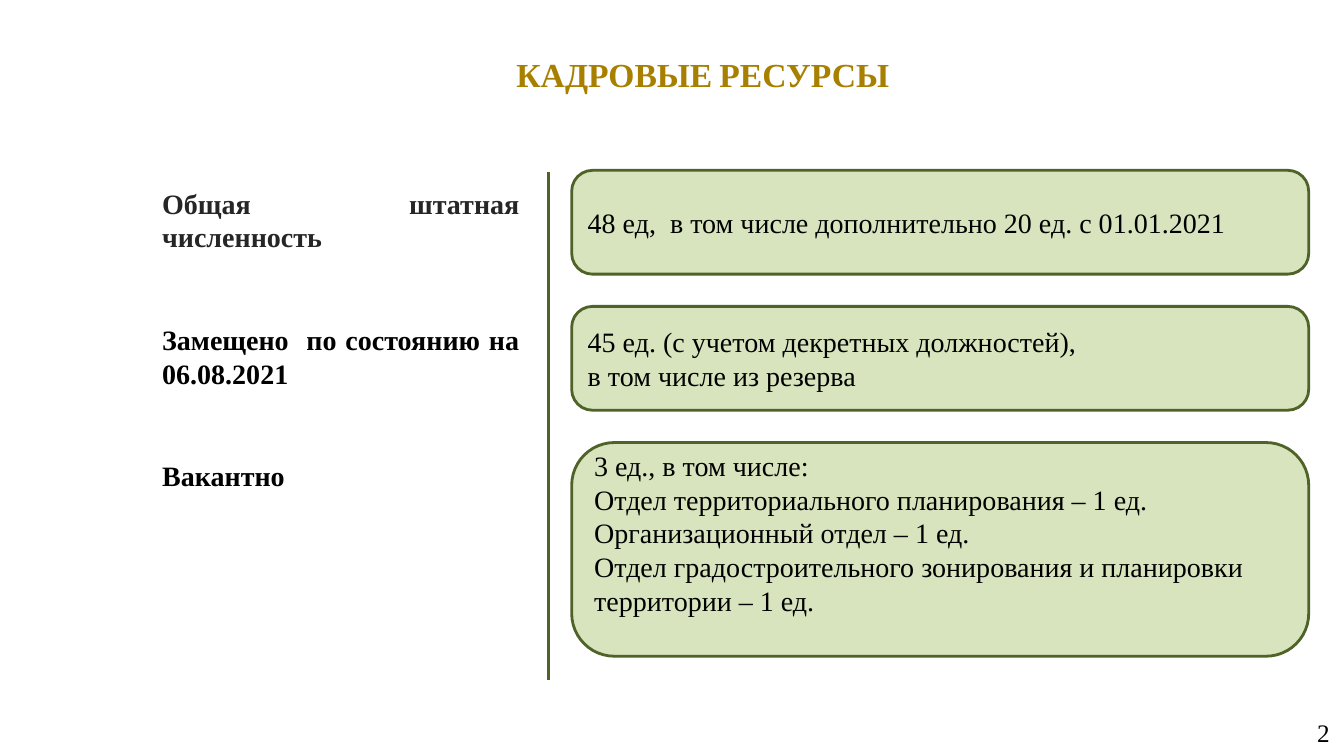
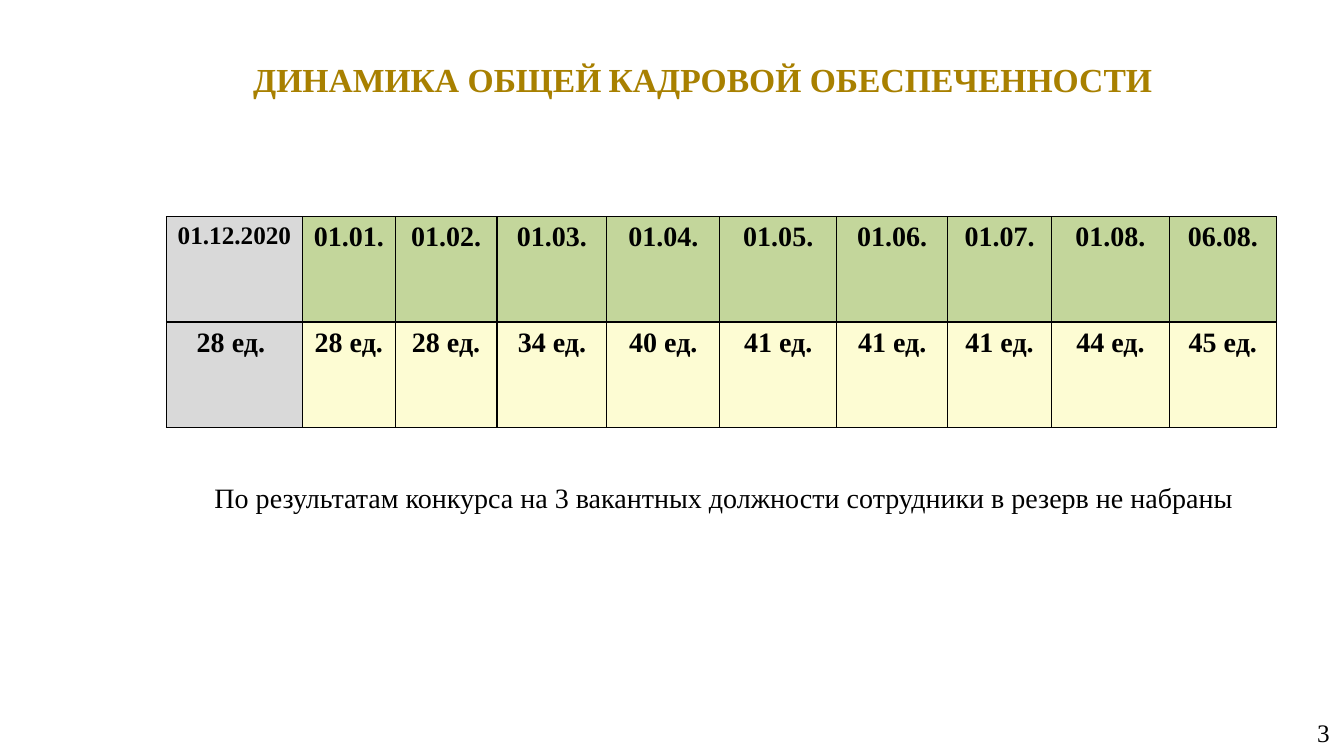
from pptx import Presentation, util as u
from pptx.dml.color import RGBColor
from pptx.enum import shapes, text
from pptx.oxml import parse_xml
from pptx.oxml.ns import nsdecls

W, H = 13.33, 7.5
FONT = "Times New Roman"
GOLD = RGBColor(0xA8, 0x80, 0x00)
BLACK = RGBColor(0, 0, 0)
DARK = RGBColor(0x26, 0x26, 0x26)
OLIVE = RGBColor(0x4F, 0x62, 0x28)
PALE = RGBColor(0xD7, 0xE4, 0xBD)
GREEN = RGBColor(0xC3, 0xD6, 0x9B)
CREAM = RGBColor(0xFD, 0xFC, 0xD3)
GREY = RGBColor(0xD9, 0xD9, 0xD9)
LEFT, MID = text.PP_ALIGN.LEFT, text.PP_ALIGN.CENTER
RIGHT, FULL = text.PP_ALIGN.RIGHT, text.PP_ALIGN.JUSTIFY
TOP, CENTER = text.MSO_ANCHOR.TOP, text.MSO_ANCHOR.MIDDLE
INSET, WIDE = (0.1, 0.05, 0.1, 0.05), (0.13, 0.07, 0.13, 0.07)

STAFF = [
    ("Общая штатная численность", DARK, 1.03, INSET,
     ["48 ед,  в том числе дополнительно 20 ед. с 01.01.2021"]),
    ("Замещено  по состоянию на 06.08.2021", BLACK, 1.03, INSET,
     ["45 ед. (с учетом декретных должностей),", "в том числе из резерва"]),
    ("Вакантно", BLACK, 2.12, (0.1, 0.05, 0.1, 0.38),
     ["3 ед., в том числе:",
      "Отдел территориального планирования – 1 ед.",
      "Организационный отдел – 1 ед.",
      "Отдел градостроительного зонирования и планировки территории – 1 ед."]),
]
COLS = [1.35, 0.92, 1.01, 1.09, 1.12, 1.16, 1.1, 1.03, 1.17, 1.06]
DATES = ["01.12.2020", "01.01.", "01.02.", "01.03.", "01.04.",
         "01.05.", "01.06.", "01.07.", "01.08.", "06.08."]
COUNTS = ["28 ед. ", "28 ед.", "28 ед.", "34 ед.", "40 ед.",
          "41 ед.", "41 ед.", "41 ед.", "44 ед.", "45 ед."]


def inch(*vals):
    """Turn numbers into lengths in inches."""
    return [u.Inches(v) for v in vals]


def put(par, runs, color=BLACK, bold=False, align=LEFT):
    """Fill a paragraph with (words, size) runs."""
    par.alignment = align
    for words, size in runs:
        run = par.add_run()
        run.text = words
        font = run.font
        font.name, font.size, font.bold = FONT, u.Pt(size), bold
        font.color.rgb = color


def write(frame, lines, anchor=TOP, inset=INSET, **style):
    """Set up a text frame and write one paragraph per line."""
    frame.word_wrap = True
    frame.auto_size = text.MSO_AUTO_SIZE.NONE
    frame.vertical_anchor = anchor
    (frame.margin_left, frame.margin_top,
     frame.margin_right, frame.margin_bottom) = inch(*inset)
    for i, runs in enumerate(lines):
        par = frame.add_paragraph() if i else frame.paragraphs[0]
        put(par, runs, **style)


def label(slide, box, words, **style):
    """Add a text box with one line of words."""
    size = style.pop("size", 20)
    frame = slide.shapes.add_textbox(*inch(*box)).text_frame
    write(frame, [[(words, size)]], **style)


def page(deck, num, top, first, second):
    """Add a slide with its title and page number."""
    slide = deck.slides.add_slide(deck.slide_layouts[5])
    title = slide.shapes.title
    title.left, title.top, title.width, title.height = inch(1.65, top, 10.64, 0.53)
    write(title.text_frame, [[(first, 24), (" ", 20), (second, 24)]],
          inset=WIDE, color=GOLD, bold=True, align=MID)
    label(slide, (W - 3.11, H - 0.43, 3.1, 0.39), str(num), size=18,
          anchor=CENTER, inset=WIDE, align=RIGHT)
    return slide


def staff(slide, box):
    """Draw labels, a dividing line and a column of rounded cards."""
    x, y, w, h = box
    card, gap = 7.31, 0.32
    line = slide.shapes.add_connector(
        shapes.MSO_CONNECTOR.STRAIGHT, *inch(x + 3.93, y + 0.02, x + 3.93, y + h))
    line.line.color.rgb, line.line.width = OLIVE, u.Pt(2)
    line._element.spPr.append(parse_xml(f"<a:effectLst {nsdecls('a')}/>"))
    for name, color, high, inset, lines in STAFF:
        label(slide, (x, y + 0.11, 3.74, 0.76), name,
              color=color, bold=True, align=FULL)
        shape = slide.shapes.add_shape(
            shapes.MSO_SHAPE.ROUNDED_RECTANGLE, *inch(x + w - card, y, card, high))
        shape.adjustments[0] = 0.2
        shape.shadow.inherit = False
        shape.fill.solid()
        shape.fill.fore_color.rgb = PALE
        shape.line.color.rgb, shape.line.width = OLIVE, u.Pt(2)
        write(shape.text_frame, [[(words, 20)] for words in lines],
              anchor=CENTER, inset=inset)
        y += high + gap


def edge(cell):
    """Give a cell thin black borders."""
    props = cell._tc.get_or_add_tcPr()
    for side in "LRTB":
        props.append(parse_xml(
            f'<a:ln{side} {nsdecls("a")} w="12192"><a:solidFill>'
            f'<a:srgbClr val="{BLACK}"/></a:solidFill></a:ln{side}>'))


def trend(slide, box):
    """Draw the table of staff counts by date."""
    table = slide.shapes.add_table(2, len(COLS), *inch(*box)).table
    table.first_row = table.horz_banding = False
    for col, wide in zip(table.columns, COLS):
        col.width = u.Inches(wide)
    for r, (row, fill) in enumerate([(DATES, GREEN), (COUNTS, CREAM)]):
        for c, words in enumerate(row):
            cell = table.cell(r, c)
            edge(cell)
            cell.fill.solid()
            cell.fill.fore_color.rgb = fill if c else GREY
            size = 20 if r or c else 18
            put(cell.text_frame.paragraphs[0], [(words, size)],
                bold=True, align=MID)


def main():
    """Build and save the deck."""
    deck = Presentation()
    deck.slide_width, deck.slide_height = inch(W, H)
    staff(page(deck, 2, 0.46, "КАДРОВЫЕ", "РЕСУРСЫ"), (1.51, 1.69, 11.47, 5.06))
    slide = page(deck, 3, 0.51, "ДИНАМИКА ОБЩЕЙ", "КАДРОВОЙ ОБЕСПЕЧЕННОСТИ")
    trend(slide, (1.65, 2.15, sum(COLS), 2.09))
    label(slide, (1.77, 4.72, 10.82, 0.71),
          "По результатам конкурса на 3 вакантных должности "
          "сотрудники в резерв не набраны", align=MID)
    deck.save("out.pptx")


if __name__ == "__main__":
    main()
